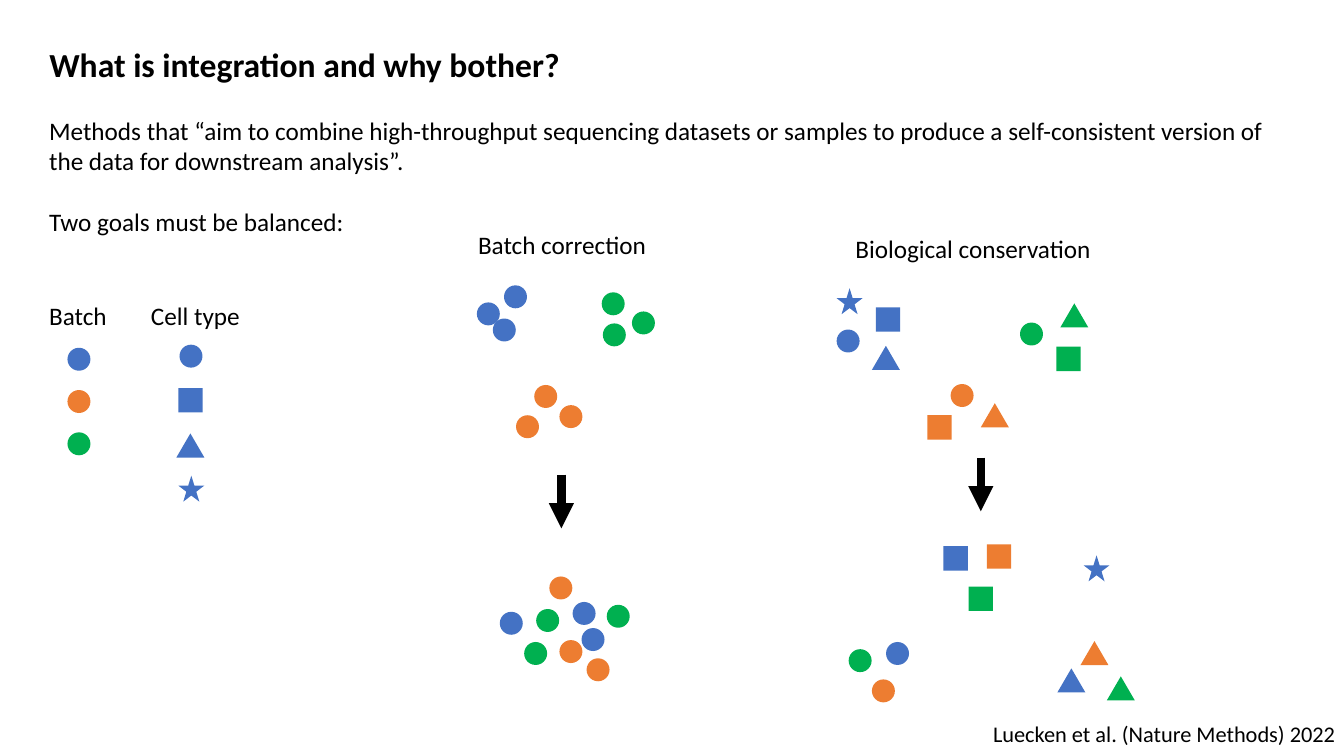
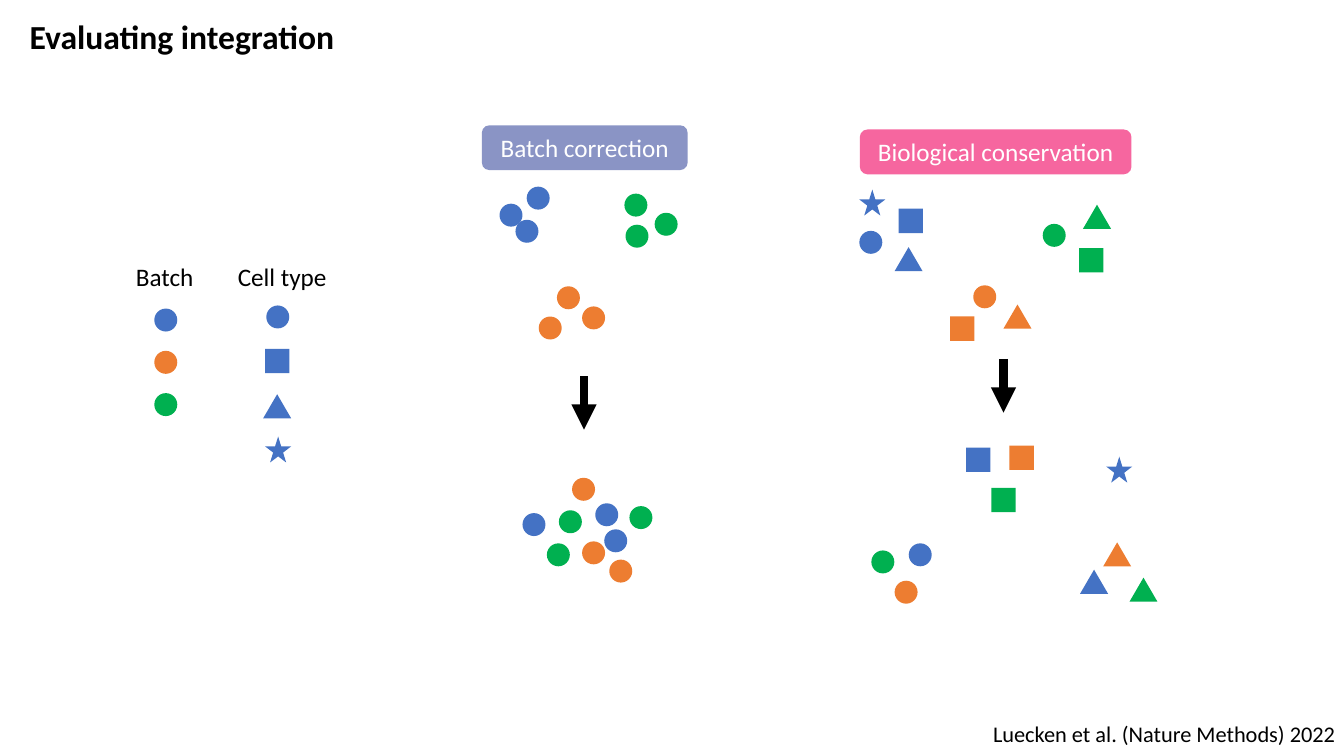
import pptx
import pptx.util
import pptx.dml.color
import pptx.enum.shapes
import pptx.enum.text
import pptx.oxml.ns
from lxml import etree

Pt = pptx.util.Pt
SHAPE = pptx.enum.shapes.MSO_SHAPE
ALIGN = pptx.enum.text.PP_ALIGN
ANCHOR = pptx.enum.text.MSO_ANCHOR

BLACK, WHITE = "000000", "FFFFFF"
BLUE, ORANGE, GREEN = "4472C4", "ED7D31", "00B050"
PURPLE, PINK = "8A94C5", "F6669F"

# Preset, width and height of each cell type's mark
MARKS = {
    "circle": (SHAPE.OVAL, 16.4, 16.4),
    "square": (SHAPE.RECTANGLE, 17.4, 17.4),
    "triangle": (SHAPE.ISOSCELES_TRIANGLE, 20, 17.2),
    "star": (SHAPE.STAR_5_POINT, 18.6, 18.6),
}

# Mark positions are relative to the top left of the panel's label
BATCH_MARKS = {
    ("circle", BLUE): [(12.6, 56), (24, 67.5), (32, 43.8), (81, 270), (87.4, 288.6), (29, 277)],
    ("circle", GREEN): [(102.6, 71), (101.8, 48.8), (123.4, 62.5), (55, 275), (46.4, 298.6), (105.4, 272)],
    ("circle", ORANGE): [(53.6, 115), (71.6, 129.4), (40.6, 136.6), (71.6, 297.2), (64.4, 251.8), (91, 310.2)],
}
BIOLOGY_MARKS = {
    ("circle", BLUE): [(-0.4, 72.4), (34.9, 295.6)],
    ("square", BLUE): [(27.7, 56.6), (75.9, 227.2)],
    ("triangle", BLUE): [(24.8, 84), (157.3, 314.4)],
    ("star", BLUE): [(-0.4, 42.9), (176, 233.7)],
    ("circle", GREEN): [(130.6, 67.4), (8.2, 300.7)],
    ("square", GREEN): [(156.6, 84.7), (93.9, 256)],
    ("triangle", GREEN): [(159.4, 53.7), (192.6, 320.1)],
    ("circle", ORANGE): [(81, 111.3), (24.8, 322.3)],
    ("square", ORANGE): [(64.4, 133.6), (106.9, 225.8)],
    ("triangle", ORANGE): [(102.6, 125), (173.8, 294.9)],
}


def rgb(color):
    return pptx.dml.color.RGBColor.from_string(color)


class Deck:
    """The presentation, its style and the slide being filled."""

    font = "Calibri"
    title_size, body_size, source_size = 24, 18, 16

    def __init__(self):
        self.prs = pptx.Presentation()
        self.prs.slide_width, self.prs.slide_height = Pt(960), Pt(540)

    def new_slide(self, title, x, y):
        self.slide = self.prs.slides.add_slide(self.prs.slide_layouts[5])
        self.shapes = self.slide.shapes
        sp = self.shapes.title
        sp.left, sp.top, sp.width, sp.height = Pt(x), Pt(y), Pt(600), Pt(36)
        self.set_text(sp, [title], self.title_size, bold=True)
        self.text(["Luecken et al. (Nature Methods) 2022"], 667, 511, 294, 27,
                  self.source_size, ALIGN.RIGHT)

    def set_text(self, sp, lines, size, align=ALIGN.LEFT, color=BLACK, bold=False, gap=0):
        tf = sp.text_frame
        tf.word_wrap = True
        tf.auto_size = pptx.enum.text.MSO_AUTO_SIZE.NONE
        tf.vertical_anchor = ANCHOR.TOP
        for i, line in enumerate(lines):
            p = tf.add_paragraph() if i else tf.paragraphs[0]
            p.text, p.alignment = line, align
            p.space_before = Pt(gap if i else 0)
            p.font.name, p.font.size, p.font.bold = self.font, Pt(size), bold
            p.font.color.rgb = rgb(color)

    def text(self, lines, x, y, w, h, size=body_size, align=ALIGN.LEFT, gap=0):
        sp = self.shapes.add_textbox(Pt(x), Pt(y), Pt(w), Pt(h))
        self.set_text(sp, lines, size, align, gap=gap)

    def shape(self, kind, x, y, w, h, fill):
        sp = self.shapes.add_shape(kind, Pt(x), Pt(y), Pt(w), Pt(h))
        sp.shadow.inherit = False
        sp.fill.solid()
        sp.fill.fore_color.rgb = rgb(fill)
        sp.line.fill.background()
        return sp

    def mark(self, name, x, y, color):
        kind, w, h = MARKS[name]
        self.shape(kind, x, y, w, h, color)

    def arrow_down(self, x, y, length=38.3):
        cxn = self.shapes.add_connector(pptx.enum.shapes.MSO_CONNECTOR.STRAIGHT,
                                        Pt(x), Pt(y), Pt(x), Pt(y + length))
        cxn.line.color.rgb = rgb(BLACK)
        cxn.line.width = Pt(6)
        qn = pptx.oxml.ns.qn
        props = cxn.element.spPr
        etree.SubElement(props.find(qn("a:ln")), qn("a:tailEnd"), type="triangle")
        etree.SubElement(props, qn("a:effectLst"))

    def start_group(self):
        self.shapes = self.slide.shapes.add_group_shape().shapes

    def end_group(self):
        self.shapes = self.slide.shapes

    def legend(self, x, y):
        self.start_group()
        self.text(["Batch"], x, y, 70, 29)
        for i, color in enumerate((BLUE, ORANGE, GREEN)):
            self.mark("circle", x + 20.2, y + 37.4 + 30.2 * i, color)
        self.start_group()
        self.text(["Cell type"], x + 72.8, y, 86, 29)
        for name, dx, dy in (("circle", 100.2, 35.2), ("square", 99.4, 66.2),
                             ("triangle", 98, 98.6), ("star", 99.4, 128.8)):
            self.mark(name, x + dx, y + dy, BLUE)
        self.end_group()

    def panel(self, label, x, y, w, marks, arrow, fill):
        """A label, plain or on a coloured pill, above marks before and after an arrow."""
        if fill:
            sp = self.shape(SHAPE.ROUNDED_RECTANGLE, x, y, w, 32, fill)
            self.set_text(sp, [label], self.body_size, ALIGN.CENTER, WHITE)
            sp.text_frame.vertical_anchor = ANCHOR.MIDDLE
        else:
            self.text([label], x, y, w, 29, align=ALIGN.CENTER)
        self.start_group()
        for (name, color), places in marks.items():
            for dx, dy in places:
                self.mark(name, x + dx, y + dy, color)
        self.arrow_down(x + arrow[0], y + arrow[1])
        self.end_group()

    def goals(self, x, y, batch_fill=None, biology_fill=None):
        self.panel("Batch correction", x, y, 147, BATCH_MARKS, (73, 179.1), batch_fill)
        self.panel("Biological conservation", x + 270, y + 3, 194, BIOLOGY_MARKS,
                   (102.6, 163.9), biology_fill)


def main():
    deck = Deck()

    deck.new_slide("What is integration and why bother?", 28, 27.5)
    deck.text(["Methods that “aim to combine high-throughput sequencing datasets or samples "
               "to produce a self-consistent version of the data for downstream analysis”.",
               "Two goals must be balanced:"], 28, 79, 904, 94, gap=22)
    deck.legend(28, 211)
    deck.goals(328, 160)

    deck.new_slide("Evaluating integration", 14, 8)
    deck.legend(90, 183)
    deck.goals(344.2, 89.5, PURPLE, PINK)

    deck.prs.save("out.pptx")


if __name__ == "__main__":
    main()
